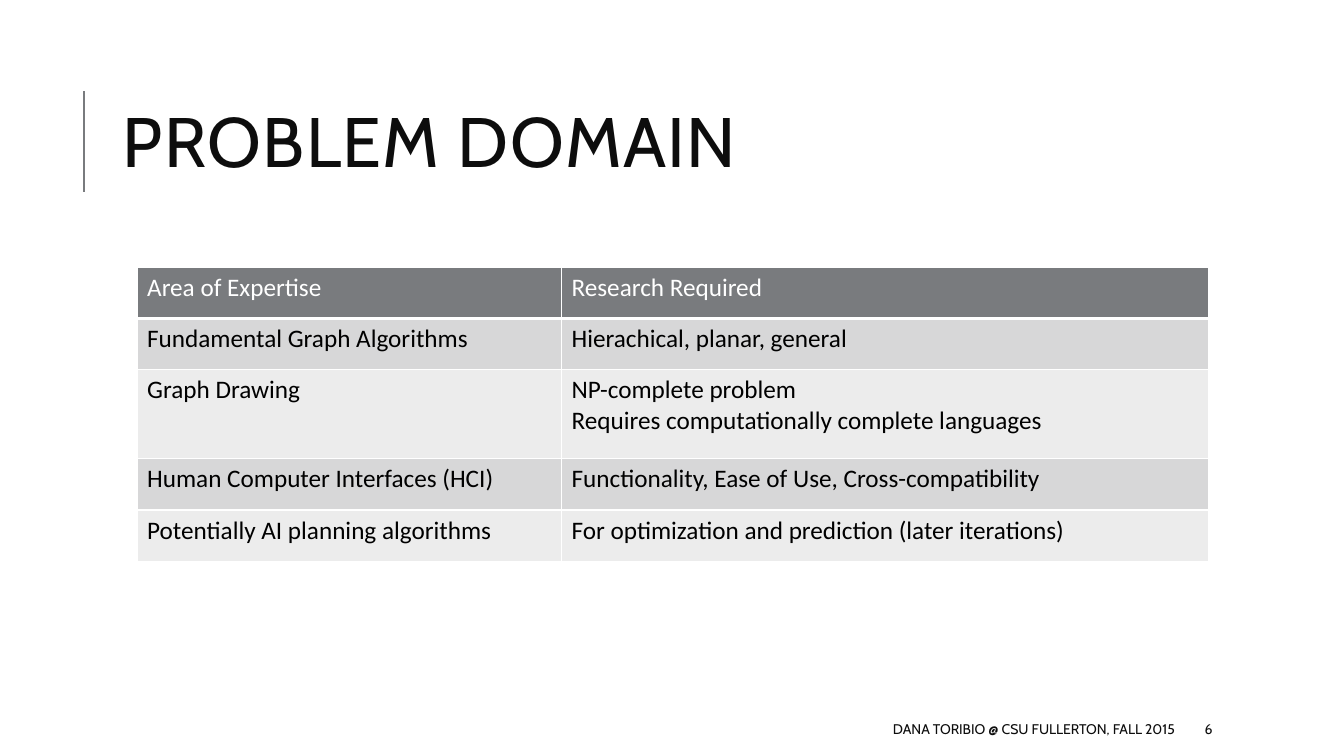
from lxml import etree
from pptx import Presentation
from pptx.dml.color import RGBColor
from pptx.enum.shapes import MSO_CONNECTOR
from pptx.enum.text import MSO_ANCHOR, PP_ALIGN
from pptx.oxml.ns import qn
from pptx.util import Inches, Pt

STRAIGHT = MSO_CONNECTOR.STRAIGHT
MIDDLE = MSO_ANCHOR.MIDDLE
LEFT, RIGHT = PP_ALIGN.LEFT, PP_ALIGN.RIGHT
COLORS = {
    "gray": "797B7E",
    "ink": "0D0D0D",
    "black": "000000",
    "white": "FFFFFF",
    "dark": "D7D7D8",
    "light": "ECECEC",
}


def add_run(para, text, size, font, color):
    run = para.add_run()
    run.text = text
    run.font.size = Pt(size)
    run.font.name = font
    run.font.bold = False
    run.font.color.rgb = RGBColor.from_string(COLORS[color])
    return run


def add_edge(cell, side, width):
    props = cell._tc.get_or_add_tcPr()
    edge = etree.SubElement(props, qn(f"a:ln{side}"), w=str(Pt(width)))
    fill = etree.SubElement(edge, qn("a:solidFill"))
    etree.SubElement(fill, qn("a:srgbClr"), val=COLORS["white"])


prs = Presentation()
prs.slide_width = Inches(13.33)
prs.slide_height = Inches(7.5)
slide = prs.slides.add_slide(prs.slide_layouts[6])

rule = slide.shapes.add_connector(
    STRAIGHT, Inches(0.83), Inches(1.9), Inches(0.83), Inches(0.9))
rule.line.color.rgb = RGBColor.from_string(COLORS["gray"])
rule.line.width = Pt(1.5)
etree.SubElement(rule._element.spPr, qn("a:effectLst"))

labels = [
    ("PROBLEM DOMAIN", 1.12, 0.64, 10.63, 1.64, 50, LEFT, 0.8, 100),
    ("DANA TORIBIO @ CSU FULLERTON, FALL 2015", 5.3, 7.08, 6.45, 0.3, 10, RIGHT, 1, 0),
    ("6", 11.85, 7.08, 1.06, 0.3, 10, LEFT, 1, 0),
]
for text, left, top, width, height, size, align, lead, gap in labels:
    box = slide.shapes.add_textbox(
        Inches(left), Inches(top), Inches(width), Inches(height))
    frame = box.text_frame
    frame.word_wrap = True
    frame.vertical_anchor = MIDDLE
    para = frame.paragraphs[0]
    para.alignment = align
    para.line_spacing = lead
    run = add_run(para, text, size, "Cabin", "ink")
    run.font._element.set("spc", str(gap))

rows = [
    ("Area of Expertise", ["Research Required"]),
    ("Fundamental Graph Algorithms", ["Hierachical, planar, general"]),
    ("Graph Drawing",
     ["NP-complete problem", "Requires computationally complete languages"]),
    ("Human Computer Interfaces (HCI)",
     ["Functionality, Ease of Use, Cross-compatibility"]),
    ("Potentially AI planning algorithms",
     ["For optimization and prediction (later iterations)"]),
]
table = slide.shapes.add_table(
    len(rows), 2, Inches(1.36), Inches(2.65), Inches(10.63), Inches(2.92)).table
table.columns[0].width = Inches(4.21)
table.columns[1].width = Inches(6.42)

for i, (area, needs) in enumerate(rows):
    table.rows[i].height = Inches(0.88 if len(needs) > 1 else 0.51)
    shade = "gray" if i == 0 else "dark" if i % 2 else "light"
    for j, lines in enumerate([[area], needs]):
        cell = table.cell(i, j)
        for side in "LRTB":
            thick = (i == 0 and side == "B") or (i == 1 and side == "T")
            add_edge(cell, side, 3 if thick else 1)
        cell.fill.solid()
        cell.fill.fore_color.rgb = RGBColor.from_string(COLORS[shade])
        frame = cell.text_frame
        for n, line in enumerate(lines):
            para = frame.add_paragraph() if n else frame.paragraphs[0]
            add_run(para, line, 18, "Calibri", "black" if i else "white")

prs.save("out.pptx")
